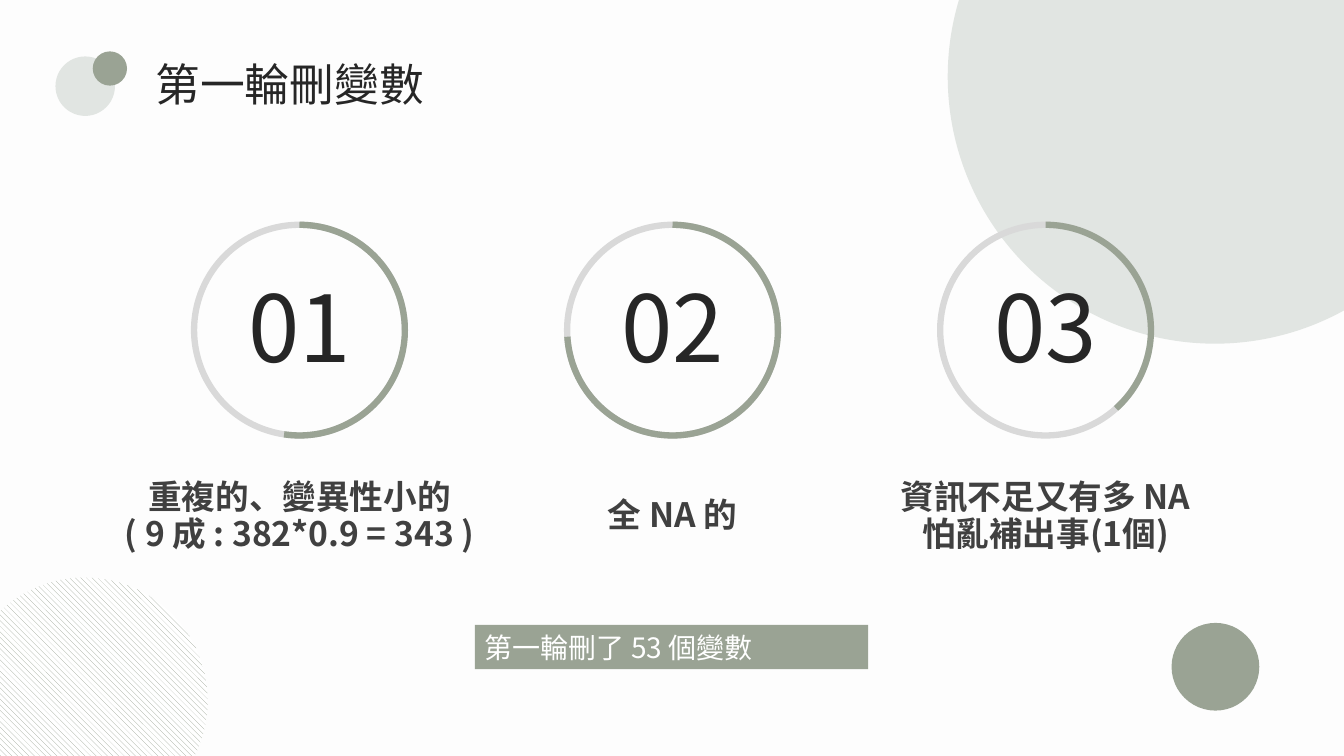
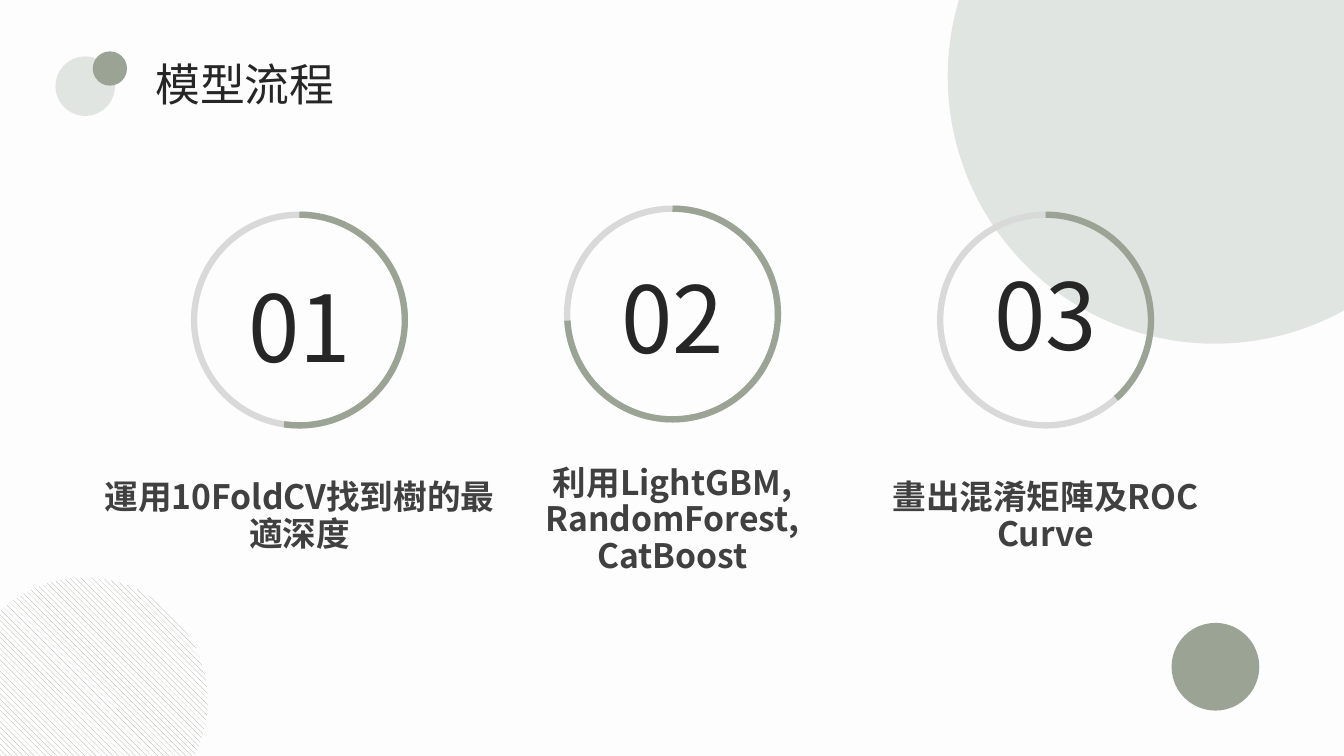
from lxml.etree import SubElement
from pptx import Presentation
from pptx.dml.color import RGBColor
from pptx.enum.dml import MSO_PATTERN
from pptx.enum.shapes import MSO_SHAPE
from pptx.enum.text import MSO_ANCHOR, MSO_AUTO_SIZE, PP_ALIGN
from pptx.oxml.ns import qn
from pptx.util import Pt

# Content: per step (ring top, number top, caption top, caption height, caption lines)
SLIDES = [
    {"title": "第一輪刪變數",
     "steps": [
         (223, 263, 472, 83, ["重複的、變異性小的", "( 9 成 : 382*0.9 = 343 )"]),
         (223, 263, 490, 46, ["全 NA 的"]),
         (223, 263, 472, 83, ["資訊不足又有多 NA", "怕亂補出事(1個)"])],
     "result": "第一輪刪了 53 個變數"},
    {"title": "模型流程",
     "steps": [
         (213, 263, 472, 83, ["運用10FoldCV找到樹的最適深度"]),
         (207, 254, 458, 119, ["利用LightGBM, RandomForest,", "CatBoost"]),
         (213, 251, 472, 83, ["畫出混淆矩陣及ROC Curve"])]},
]

# Shared style; lengths in px, 100 px to the inch
PX = 9144
WIDTH, HEIGHT = 1333, 750
FONT = "Noto Sans CJK SC"
PAPER, PALE, SAGE, TRACK = "FDFDFD", "E1E5E2", "9AA394", "D9D9D9"
INK, GREY, WHITE = "262626", "404040", "FFFFFF"
CENTRE, PITCH, RING = 667, 370, 209
CAPTION_WIDTHS = [409, 352, 352]
ARC_ENDS = [98.4, 176.4, 48]
TOP_ANGLE, TRACK_START = 270, 11.25
DOTS = [(940, -189, 530, PALE), (55, 56, 59, PALE),
        (92, 51, 34, SAGE), (1162, 618, 87, SAGE)]


def rgb(value):
    return RGBColor.from_string(value)


def box(*lengths):
    return [round(n * PX) for n in lengths]


def add_shape(shapes, kind, *at, fill=None):
    shape = shapes.add_shape(kind, *box(*at))
    shape.shadow.inherit = False
    shape.line.fill.background()
    if fill:
        shape.fill.solid()
        shape.fill.fore_color.rgb = rgb(fill)
    else:
        shape.fill.background()
    return shape


def write(tf, lines, size, color, align, bold=False, spacing=1.0):
    tf.text = "\n".join(lines)
    for p in tf.paragraphs:
        p.alignment, p.line_spacing = align, spacing
        font = p.font
        font.size, font.bold, font.name = Pt(size), bold, FONT
        font.color.rgb = rgb(color)
        # East Asian glyphs take their font from a:ea
        props = p._p.pPr.find(qn("a:defRPr"))
        SubElement(props, qn("a:ea")).set("typeface", FONT)


def add_text(s, at, lines, *style, **options):
    tf = s.shapes.add_textbox(*box(*at)).text_frame
    tf.word_wrap = True
    tf.auto_size = MSO_AUTO_SIZE.SHAPE_TO_FIT_TEXT
    write(tf, lines, *style, **options)


def add_decor(s):
    hatched = add_shape(s.shapes, MSO_SHAPE.OVAL, -38, 573, 244, 244)
    hatched.fill.patterned()
    hatched.fill.pattern = MSO_PATTERN.WIDE_DOWNWARD_DIAGONAL
    hatched.fill.fore_color.rgb = rgb(SAGE)
    hatched.fill.back_color.rgb = rgb(WHITE)
    for x, y, size, color in DOTS:
        add_shape(s.shapes, MSO_SHAPE.OVAL, x, y, size, size, fill=color)


def add_ring(s, cx, top, end_angle):
    group = s.shapes.add_group_shape()
    for color, start, end in [(TRACK, TRACK_START, 0), (SAGE, TOP_ANGLE, end_angle)]:
        arc = add_shape(group.shapes, MSO_SHAPE.ARC, cx - RING / 2, top, RING, RING)
        # Arc adjustments count 60000 per degree, scaled by 100000
        arc.adjustments[0], arc.adjustments[1] = start * 0.6, end * 0.6
        arc.line.color.rgb = rgb(color)
        arc.line.width = Pt(4.5)


def add_step(s, i, step):
    ring_top, number_top, caption_top, caption_height, lines = step
    cx, width = CENTRE + (i - 1) * PITCH, CAPTION_WIDTHS[i]
    add_ring(s, cx, ring_top, ARC_ENDS[i])
    add_text(s, (cx - 103, number_top, 206, 121), [f"{i + 1:02}"],
             66, INK, PP_ALIGN.CENTER)
    add_text(s, (cx - width / 2, caption_top, width, caption_height), lines,
             24, GREY, PP_ALIGN.CENTER, bold=True, spacing=0.9)


def main():
    prs = Presentation()
    prs.slide_width, prs.slide_height = box(WIDTH, HEIGHT)
    background = prs.slide_master.background.fill
    background.solid()
    background.fore_color.rgb = rgb(PAPER)

    # Title position is set once, on the layout
    layout = prs.slide_layouts[5]
    title = layout.placeholders[0]
    title.left, title.top, title.width, title.height = box(144, 51, 700, 64)

    for content in SLIDES:
        s = prs.slides.add_slide(layout)
        add_decor(s)
        write(s.shapes.title.text_frame, [content["title"]], 32, INK, PP_ALIGN.LEFT)
        for i, step in enumerate(content["steps"]):
            add_step(s, i, step)
        if "result" in content:
            bar = add_shape(s.shapes, MSO_SHAPE.RECTANGLE, 471, 620, 390, 44, fill=SAGE)
            bar.text_frame.vertical_anchor = MSO_ANCHOR.MIDDLE
            write(bar.text_frame, [content["result"]], 20, WHITE, PP_ALIGN.JUSTIFY)

    prs.save("out.pptx")


if __name__ == "__main__":
    main()
